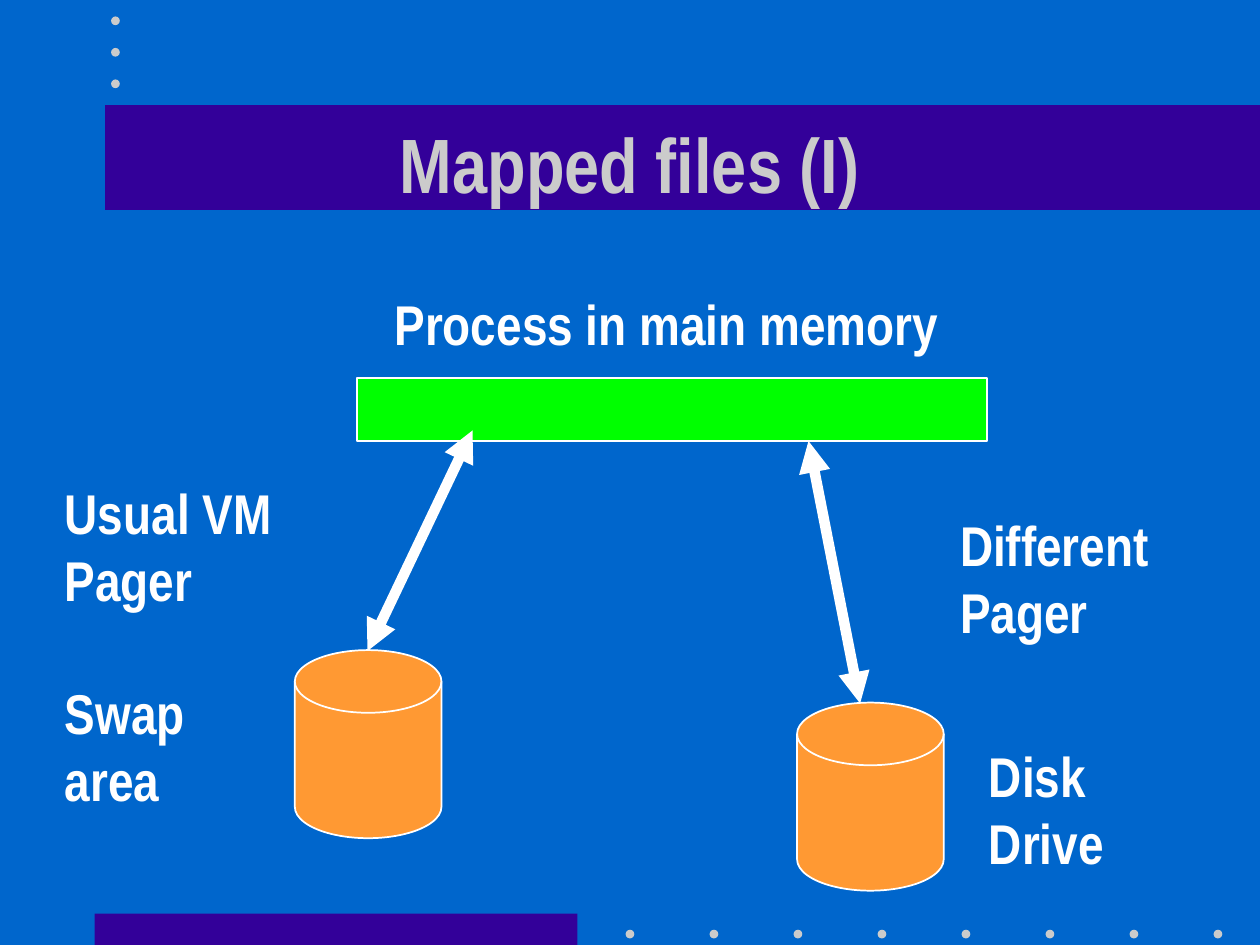
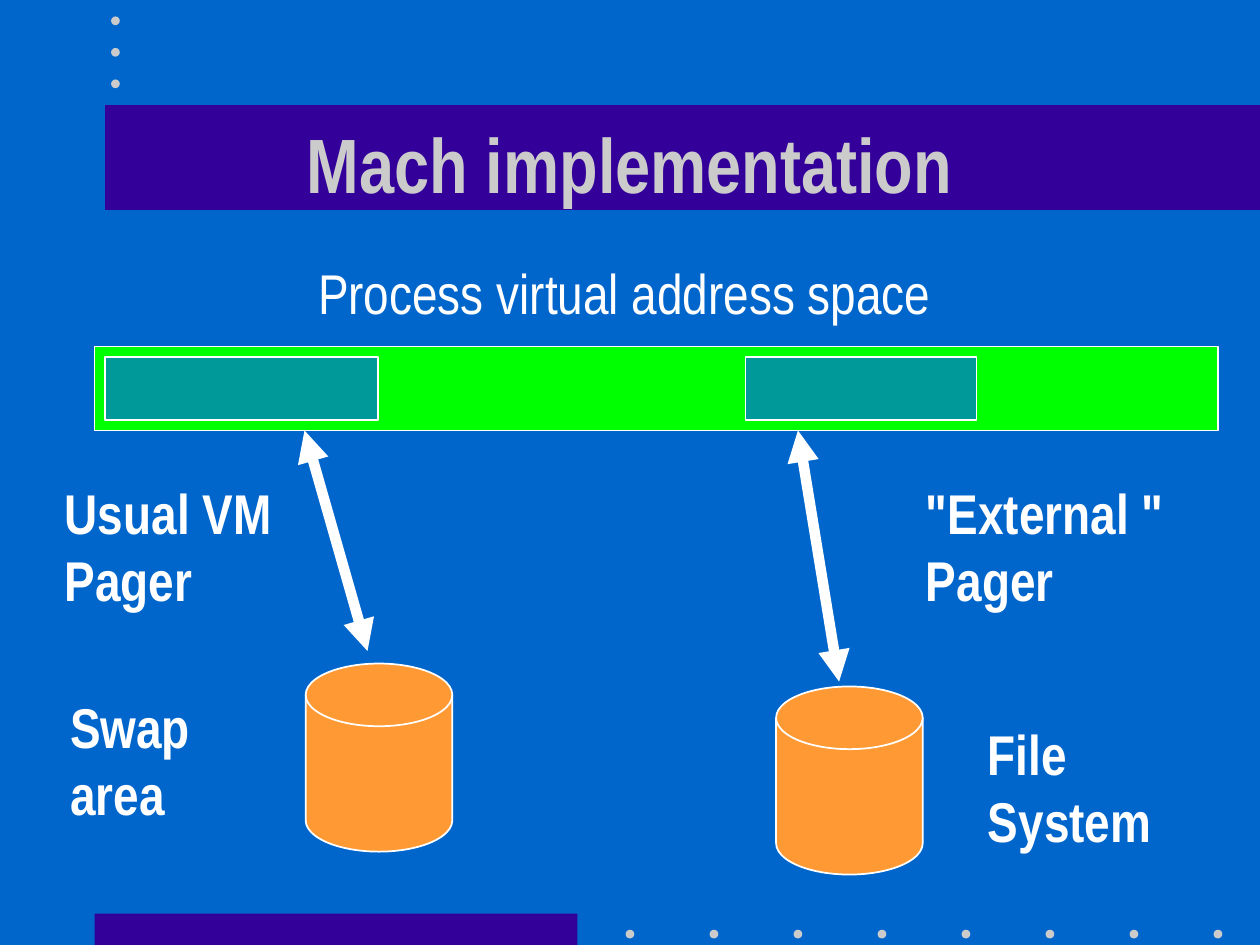
"""Build two slides on mapped files and their Mach implementation."""
from dataclasses import dataclass

from lxml import etree
from pptx import Presentation
from pptx.dml.color import RGBColor
from pptx.enum.shapes import MSO_CONNECTOR, MSO_SHAPE
from pptx.enum.text import MSO_ANCHOR, MSO_AUTO_SIZE, PP_ALIGN
from pptx.oxml.ns import qn
from pptx.shapes.autoshape import Shape
from pptx.slide import Slide, SlideLayout
from pptx.text.text import Font
from pptx.util import Pt

RECTANGLE = MSO_SHAPE.RECTANGLE
OVAL = MSO_SHAPE.OVAL
DISK = MSO_SHAPE.FLOWCHART_MAGNETIC_DISK
STRAIGHT = MSO_CONNECTOR.STRAIGHT
MIDDLE = MSO_ANCHOR.MIDDLE
FIT_SHAPE = MSO_AUTO_SIZE.SHAPE_TO_FIT_TEXT
NO_FIT = MSO_AUTO_SIZE.NONE
LEFT = PP_ALIGN.LEFT
CENTER = PP_ALIGN.CENTER
TITLE_ONLY = 5
LINE_BREAK = "\v"


@dataclass(frozen=True)
class Theme:
    """Colours, type and line widths of the presentation."""
    background: RGBColor = RGBColor(0x00, 0x66, 0xCC)
    band: RGBColor = RGBColor(0x33, 0x00, 0x99)
    pale: RGBColor = RGBColor(0xCB, 0xCB, 0xCB)
    white: RGBColor = RGBColor(0xFF, 0xFF, 0xFF)
    memory: RGBColor = RGBColor(0x00, 0xFF, 0x00)
    region: RGBColor = RGBColor(0x00, 0x99, 0x99)
    disk: RGBColor = RGBColor(0xFF, 0x99, 0x33)
    font: str = "Arial Narrow"
    title_size: float = 44
    label_size: float = 32
    outline: float = 1
    arrow: float = 6


@dataclass(frozen=True)
class Box:
    """A place on the slide, in points."""
    left: float
    top: float
    width: float
    height: float


@dataclass(frozen=True)
class Label:
    """A text box with its paragraphs."""
    box: Box
    paragraphs: tuple[str, ...]
    alignment: PP_ALIGN = LEFT
    bold: bool = True


@dataclass(frozen=True)
class Arrow:
    """A double-headed arrow between two points."""
    start: tuple[float, float]
    end: tuple[float, float]


@dataclass(frozen=True)
class Diagram:
    """The content of one slide."""
    title: str
    memory: Box
    regions: tuple[Box, ...]
    labels: tuple[Label, ...]
    arrows: tuple[Arrow, ...]
    disks: tuple[tuple[float, float], ...]


THEME = Theme()
TITLE_BOX = Box(54, 48, 612, 90)
BANDS = (Box(54, 522, 276, 18), Box(60, 60, 660, 60))
DOT_SIZE = 5
DOTS = tuple(
    [Box(357.5 + 48 * column, 531.3, DOT_SIZE, DOT_SIZE) for column in range(8)]
    + [Box(63.5, 9.4 + 18 * row, DOT_SIZE, DOT_SIZE) for row in range(3)]
)
DISK_WIDTH, DISK_HEIGHT = 83.8, 107.5
ONE_LINE, TWO_LINES = 46, 84
USUAL_PAGER = Label(Box(30, 270, 177, TWO_LINES), ("Usual VM", "Pager"))

DIAGRAMS = (
    Diagram(
        title="Mapped files (I)",
        memory=Box(204, 216, 360, 36),
        regions=(),
        labels=(
            Label(Box(204, 162, 354, ONE_LINE), ("Process in main memory",), CENTER),
            USUAL_PAGER,
            Label(Box(30, 384, 128, TWO_LINES), ("Swap", "area")),
            Label(Box(541.5, 288, 178.5, TWO_LINES), ("Different", "Pager")),
            Label(Box(558, 420, 142.5, TWO_LINES), ("Disk", "Drive")),
        ),
        arrows=(Arrow((270, 246), (210, 372)), Arrow((462, 252), (491.5, 402))),
        disks=((168.5, 371.5), (455.5, 401.5)),
    ),
    Diagram(
        title="Mach implementation",
        memory=Box(54, 198, 642, 48),
        regions=(Box(60, 204, 156, 36), Box(426, 204, 132, 36)),
        labels=(
            Label(Box(90, 144, 534, ONE_LINE), ("Process virtual address space",),
                  CENTER, bold=False),
            USUAL_PAGER,
            Label(Box(33, 392, 114.5, TWO_LINES), ("Swap", "area")),
            Label(Box(522, 270, 198, TWO_LINES), ('"External "', "Pager")),
            Label(Box(557.5, 407.5, 125, TWO_LINES), (f"File{LINE_BREAK}System",)),
        ),
        arrows=(Arrow((174, 246), (210, 372)), Arrow((456, 246), (479.5, 389.5))),
        disks=((174.7, 379.2), (443.5, 392.3)),
    ),
)


def place(box: Box) -> tuple[Pt, Pt, Pt, Pt]:
    """Convert a box to lengths."""
    return Pt(box.left), Pt(box.top), Pt(box.width), Pt(box.height)


def style_font(font: Font, size: float, color: RGBColor, bold: bool) -> None:
    """Apply the theme typeface to a font."""
    font.name = THEME.font
    font.size = Pt(size)
    font.bold = bold
    font.color.rgb = color


def add_filled(slide: Slide, kind: MSO_SHAPE, box: Box, fill: RGBColor,
               outlined: bool = True) -> Shape:
    """Add a flat preset shape."""
    shape = slide.shapes.add_shape(kind, *place(box))
    shape.shadow.inherit = False
    shape.fill.solid()
    shape.fill.fore_color.rgb = fill
    if outlined:
        shape.line.color.rgb = THEME.white
        shape.line.width = Pt(THEME.outline)
    else:
        shape.line.fill.background()
    return shape


def add_label(slide: Slide, label: Label) -> None:
    """Add a text box with one paragraph per entry."""
    text_frame = slide.shapes.add_textbox(*place(label.box)).text_frame
    text_frame.word_wrap = True
    text_frame.auto_size = FIT_SHAPE
    for index, text in enumerate(label.paragraphs):
        paragraph = text_frame.add_paragraph() if index else text_frame.paragraphs[0]
        paragraph.alignment = label.alignment
        for line_index, line in enumerate(text.split(LINE_BREAK)):
            if line_index:
                paragraph.add_line_break()
            run = paragraph.add_run()
            run.text = line
            style_font(run.font, THEME.label_size, THEME.white, label.bold)


def add_arrow(slide: Slide, arrow: Arrow) -> None:
    """Add a line with a triangle at each end."""
    ends = [Pt(value) for value in (*arrow.start, *arrow.end)]
    connector = slide.shapes.add_connector(STRAIGHT, *ends)
    connector.line.color.rgb = THEME.white
    connector.line.width = Pt(THEME.arrow)
    properties = connector.element.spPr
    line = properties.find(qn("a:ln"))
    for tag in ("a:headEnd", "a:tailEnd"):
        etree.SubElement(line, qn(tag), type="triangle")
    etree.SubElement(properties, qn("a:effectLst"))


def set_title(slide: Slide, text: str) -> None:
    """Place and format the title placeholder."""
    title = slide.shapes.title
    title.left, title.top, title.width, title.height = place(TITLE_BOX)
    text_frame = title.text_frame
    text_frame.word_wrap = True
    text_frame.auto_size = NO_FIT
    text_frame.vertical_anchor = MIDDLE
    paragraph = text_frame.paragraphs[0]
    paragraph.alignment = CENTER
    run = paragraph.add_run()
    run.text = text
    style_font(run.font, THEME.title_size, THEME.pale, True)


def decorate_layout(layout: SlideLayout, slide: Slide) -> None:
    """Draw the bands and dots on a slide and move them behind its layout."""
    decorations = [add_filled(slide, RECTANGLE, box, THEME.band, False) for box in BANDS]
    decorations += [add_filled(slide, OVAL, box, THEME.pale, False) for box in DOTS]
    for index, shape in enumerate(decorations):
        shape.element.nvSpPr.cNvPr.set("id", str(100 + index))
        layout.shapes.element.insert(2 + index, shape.element)


def draw_diagram(slide: Slide, diagram: Diagram) -> None:
    """Draw the content of one slide."""
    set_title(slide, diagram.title)
    add_filled(slide, RECTANGLE, diagram.memory, THEME.memory)
    for region in diagram.regions:
        add_filled(slide, RECTANGLE, region, THEME.region)
    for label in diagram.labels:
        add_label(slide, label)
    for arrow in diagram.arrows:
        add_arrow(slide, arrow)
    for left, top in diagram.disks:
        add_filled(slide, DISK, Box(left, top, DISK_WIDTH, DISK_HEIGHT), THEME.disk)


def main() -> None:
    """Build and save the presentation."""
    presentation = Presentation()
    presentation.slide_width, presentation.slide_height = Pt(720), Pt(540)
    background = presentation.slide_master.background.fill
    background.solid()
    background.fore_color.rgb = THEME.background
    layout = presentation.slide_layouts[TITLE_ONLY]
    slides = [presentation.slides.add_slide(layout) for _ in DIAGRAMS]
    decorate_layout(layout, slides[0])
    for slide, diagram in zip(slides, DIAGRAMS):
        draw_diagram(slide, diagram)
    presentation.save("out.pptx")


if __name__ == "__main__":
    main()
